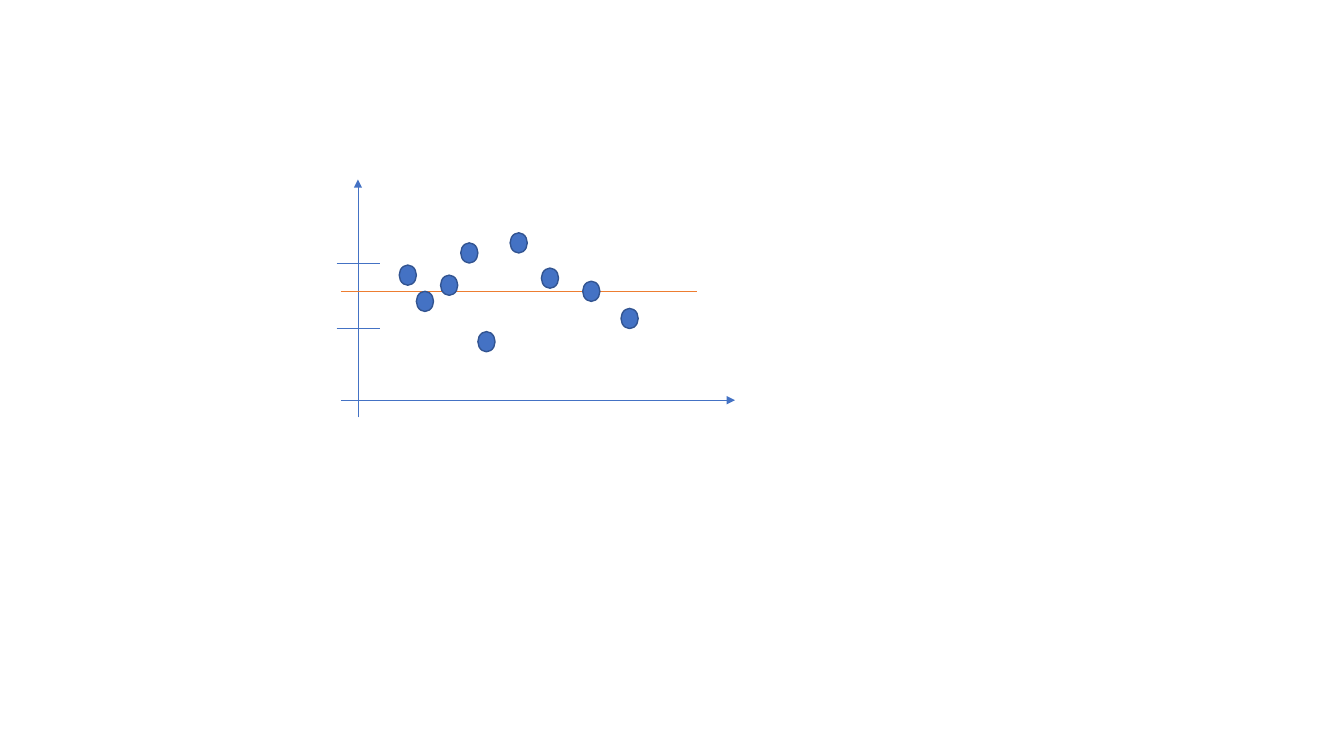
from dataclasses import dataclass
from lxml.etree import SubElement
from pptx import Presentation
from pptx.dml.color import RGBColor as Color
from pptx.enum.shapes import MSO_CONNECTOR as Link, MSO_SHAPE as Shape
from pptx.oxml.ns import qn
from pptx.util import Inches, Pt


@dataclass(frozen=True)
class Theme:
    blue: str = "4472C4"
    edge: str = "325491"
    mean: str = "ED7D31"
    thin: float = 0.5
    rim: float = 1


theme = Theme()
deck = Presentation()
deck.slide_width, deck.slide_height = Inches(13.33), Inches(7.5)
slide = deck.slides.add_slide(deck.slide_layouts[6])

col = deck.slide_width / 1333
row = deck.slide_height / 750
left, base = 355, 397
wide, high = 17, 20
over = 17
mean = 108


def place(x, y):
    return round((left + x) * col), round((base - y) * row)


def draw(start, end, color, arrow=False):
    line = slide.shapes.add_connector(Link.STRAIGHT, *place(*start), *place(*end))
    line.line.color.rgb = Color.from_string(color)
    line.line.width = Pt(theme.thin)
    props = line._element.spPr
    if arrow:
        SubElement(props.find(qn("a:ln")), qn("a:tailEnd"), type="triangle")
    SubElement(props, qn("a:effectLst"))


draw((-over, 0), (374, 0), theme.blue, arrow=True)
draw((0, -over), (0, 219), theme.blue, arrow=True)
draw((-over, mean), (336, mean), theme.mean)

dots = [(41, 134), (58, 108), (82, 124), (102, 156), (119, 68),
        (151, 166), (182, 131), (223, 118), (261, 91)]
for x, y in dots:
    dot = slide.shapes.add_shape(Shape.OVAL, *place(x, y), round(wide * col), round(high * row))
    dot.shadow.inherit = False
    dot.fill.solid()
    dot.fill.fore_color.rgb = Color.from_string(theme.blue)
    dot.line.color.rgb = Color.from_string(theme.edge)
    dot.line.width = Pt(theme.rim)

for tick in (136, 71):
    draw((-21, tick), (22, tick), theme.blue)

deck.save("out.pptx")
